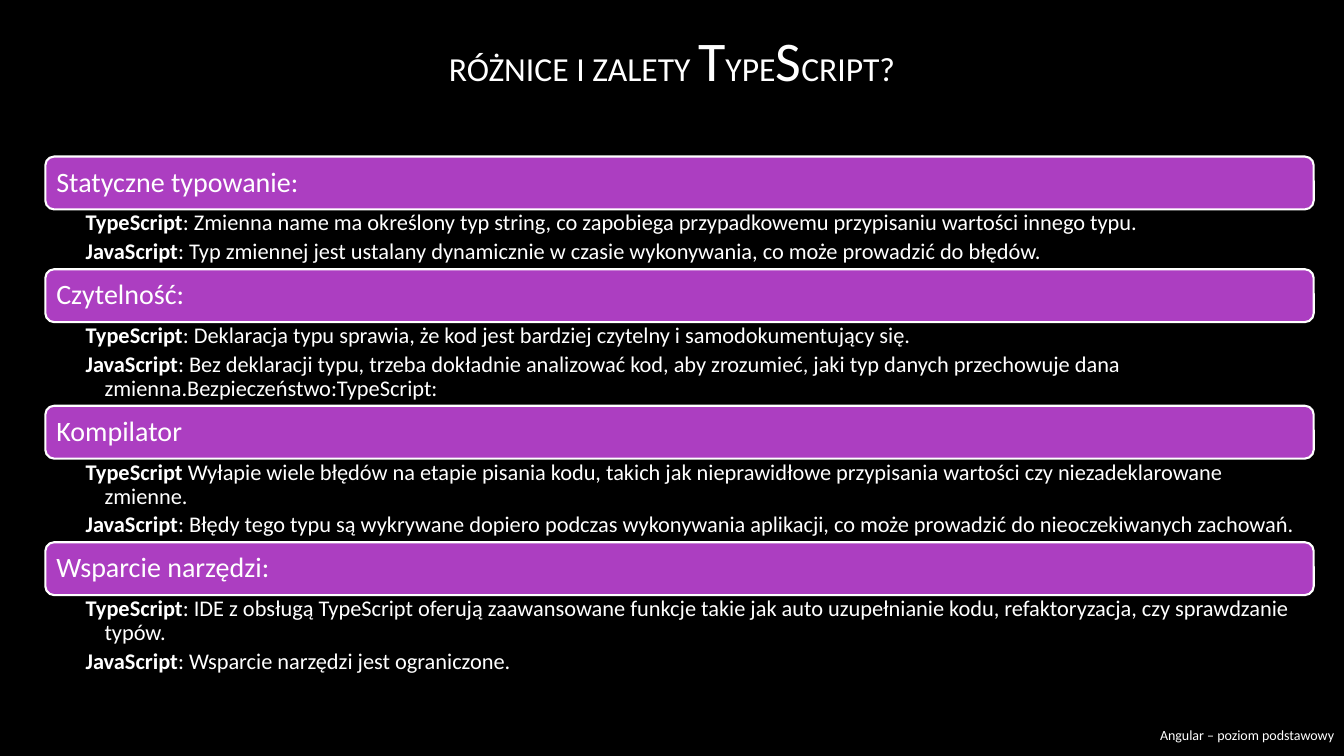
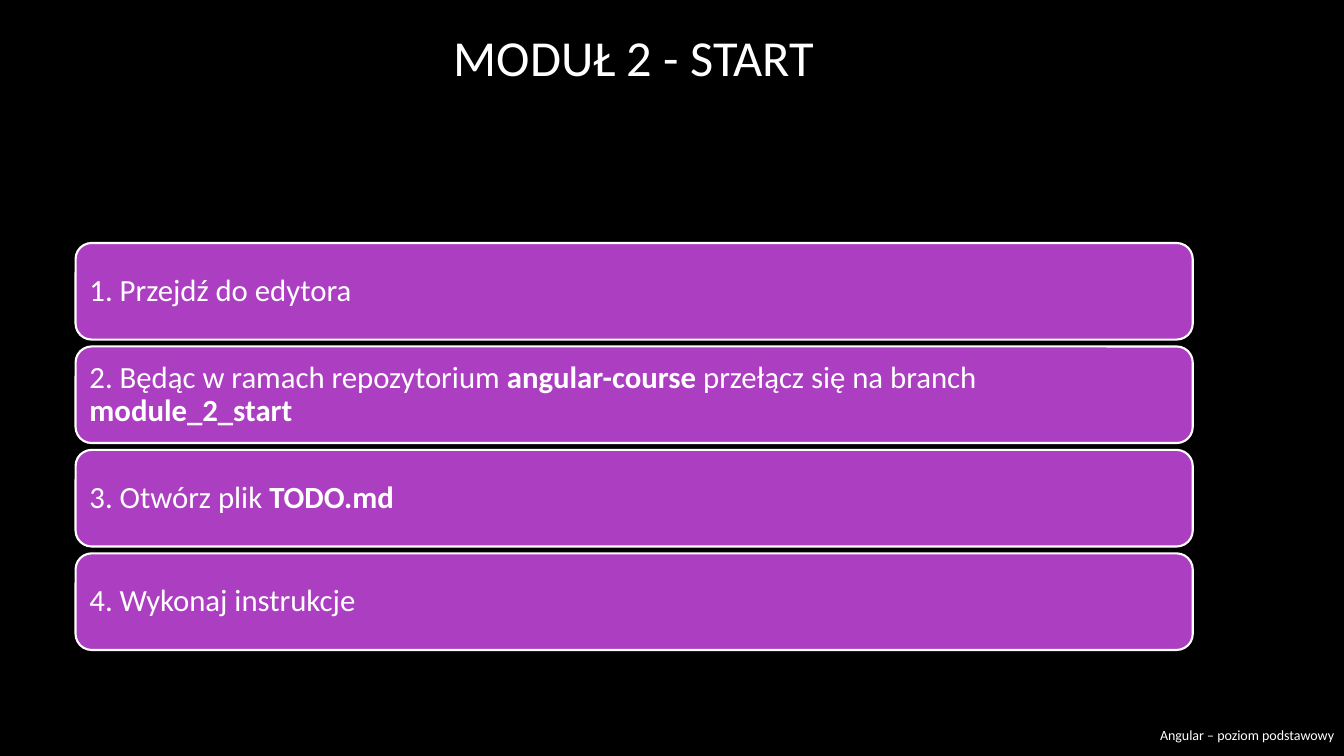
from dataclasses import dataclass

from pptx import Presentation
from pptx.dml.color import RGBColor
from pptx.enum.shapes import MSO_SHAPE
from pptx.enum.text import MSO_ANCHOR, MSO_AUTO_SIZE, PP_ALIGN
from pptx.util import Pt

ROUNDED = MSO_SHAPE.ROUNDED_RECTANGLE
TOP, MIDDLE = MSO_ANCHOR.TOP, MSO_ANCHOR.MIDDLE
LEFT, CENTER, RIGHT = PP_ALIGN.LEFT, PP_ALIGN.CENTER, PP_ALIGN.RIGHT
NO_AUTOFIT = MSO_AUTO_SIZE.NONE
TITLE_ONLY = 5


@dataclass(frozen=True)
class Theme:
    """Colours, font, type sizes and page measures shared by the slides."""

    background: RGBColor = RGBColor(0x00, 0x00, 0x00)
    bar: RGBColor = RGBColor(0xAC, 0x3E, 0xC1)
    ink: RGBColor = RGBColor(0xFF, 0xFF, 0xFF)
    font: str = "Calibri"
    title: int = 36
    title_capital: int = 40
    title_small: int = 24
    heading: int = 20
    step: int = 22
    detail: int = 16
    footer: int = 10
    outline: float = 1.5
    width: int = 960
    height: int = 540


THEME = Theme()
FOOTER = "Angular – poziom podstawowy"
ADVANTAGES_TITLE = [
    ("RÓŻNICE I ZALETY ", {"size": THEME.title_small}),
    ("T", {"size": THEME.title_capital}),
    ("YPE", {"size": THEME.title_small}),
    ("S", {"size": THEME.title_capital}),
    ("CRIPT?", {"size": THEME.title_small}),
]
BOLD = {"bold": True}
ADVANTAGES = [
    ("Statyczne typowanie:", 2,
     ": Zmienna name ma określony typ string, co zapobiega przypadkowemu "
     "przypisaniu wartości innego typu.",
     ": Typ zmiennej jest ustalany dynamicznie w czasie wykonywania, "
     "co może prowadzić do błędów."),
    ("Czytelność:", 3,
     ": Deklaracja typu sprawia, że kod jest bardziej czytelny i samodokumentujący się.",
     ": Bez deklaracji typu, trzeba dokładnie analizować kod, aby zrozumieć, "
     "jaki typ danych przechowuje dana zmienna.Bezpieczeństwo:TypeScript:"),
    ("Kompilator", 3,
     " Wyłapie wiele błędów na etapie pisania kodu, takich jak nieprawidłowe "
     "przypisania wartości czy niezadeklarowane zmienne.",
     ": Błędy tego typu są wykrywane dopiero podczas wykonywania aplikacji, "
     "co może prowadzić do nieoczekiwanych zachowań."),
    ("Wsparcie narzędzi:", 3,
     ": IDE z obsługą TypeScript oferują zaawansowane funkcje takie jak auto "
     "uzupełnianie kodu, refaktoryzacja, czy sprawdzanie typów.",
     ": Wsparcie narzędzi jest ograniczone."),
]
STEPS = [
    [("1. Przejdź do edytora", {})],
    [("2. Będąc w ramach repozytorium ", {}), ("angular-course", BOLD),
     (" przełącz się na branch ", {}), ("module_2_start", BOLD)],
    [("3. Otwórz plik ", {}), ("TODO.md", BOLD)],
    [("4. Wykonaj instrukcje", {})],
]


def write(frame, paragraphs, *, size, align=LEFT, anchor=MIDDLE, spacing=1.0,
          after=0, hanging=0, insets=(7.2, 3.6, 7.2, 3.6)):
    """Fill a text frame with paragraphs of (text, overrides) runs."""
    frame.word_wrap = True
    frame.auto_size = NO_AUTOFIT
    frame.vertical_anchor = anchor
    (frame.margin_left, frame.margin_top,
     frame.margin_right, frame.margin_bottom) = map(Pt, insets)
    for index, runs in enumerate(paragraphs):
        paragraph = frame.add_paragraph() if index else frame.paragraphs[0]
        paragraph.alignment = align
        paragraph.line_spacing = spacing
        paragraph.space_before = Pt(0)
        paragraph.space_after = Pt(after)
        if hanging:
            properties = paragraph._p.get_or_add_pPr()
            properties.set("marL", str(Pt(hanging)))
            properties.set("indent", str(-Pt(hanging)))
        for text, overrides in runs:
            run = paragraph.add_run()
            run.text = text
            run.font.name = THEME.font
            run.font.size = Pt(overrides.get("size", size))
            run.font.bold = overrides.get("bold", False)
            run.font.color.rgb = THEME.ink


def add_text(slide, box, paragraphs, **text_format):
    """Place a text box given as left, top, width, height."""
    write(slide.shapes.add_textbox(*map(Pt, box)).text_frame, paragraphs, **text_format)


def add_bar(slide, box, runs, size):
    """Draw a rounded purple bar with its label."""
    bar = slide.shapes.add_shape(ROUNDED, *map(Pt, box))
    bar.shadow.inherit = False
    bar.fill.solid()
    bar.fill.fore_color.rgb = THEME.bar
    bar.line.color.rgb = THEME.ink
    bar.line.width = Pt(THEME.outline)
    write(bar.text_frame, [runs], size=size, spacing=0.9, insets=(0.3 * size,) * 4)


def add_titled_slide(deck, title_runs, title_box):
    """Add a slide with its title and the course footer."""
    slide = deck.slides.add_slide(deck.slide_layouts[TITLE_ONLY])
    title = slide.shapes.title
    title.left, title.top, title.width, title.height = map(Pt, title_box)
    write(title.text_frame, [title_runs], size=THEME.title, align=CENTER)
    width, height = 142, 29.5
    add_text(slide, (THEME.width - width, THEME.height - height, width, height),
             [[(FOOTER, {})]], size=THEME.footer, align=RIGHT)
    return slide


def build_advantages(deck):
    """Compare both languages under four headings."""
    slide = add_titled_slide(deck, ADVANTAGES_TITLE, (81, 0, 798, 85))
    left, top, width, bar_height = 32.4, 111.8, 906, 37.8
    for heading, line_count, typescript, javascript in ADVANTAGES:
        add_bar(slide, (left, top, width, bar_height), [(heading, {})], THEME.heading)
        top += bar_height
        detail_height = 8.7 + 17 * line_count
        details = [[("TypeScript", BOLD), (typescript, {})],
                   [("JavaScript", BOLD), (javascript, {})]]
        add_text(slide, (left, top, width, detail_height), details,
                 size=THEME.detail, anchor=TOP, spacing=0.9,
                 after=0.2 * THEME.detail, hanging=13.5, insets=(28.8, 1.6, 8.5, 1.6))
        top += detail_height


def build_module_start(deck):
    """List the steps that open the module."""
    left, width = 54, 798
    slide = add_titled_slide(deck, [("MODUŁ 2 - START", {})], (left, 0, width, 80))
    first_top, step_height, gap = 173.6, 69, 4.9
    for index, runs in enumerate(STEPS):
        top = first_top + index * (step_height + gap)
        add_bar(slide, (left, top, width, step_height), runs, THEME.step)


def main():
    """Build and save the presentation."""
    deck = Presentation()
    deck.slide_width, deck.slide_height = Pt(THEME.width), Pt(THEME.height)
    backdrop = deck.slide_master.background.fill
    backdrop.solid()
    backdrop.fore_color.rgb = THEME.background
    build_advantages(deck)
    build_module_start(deck)
    deck.save("out.pptx")


if __name__ == "__main__":
    main()
